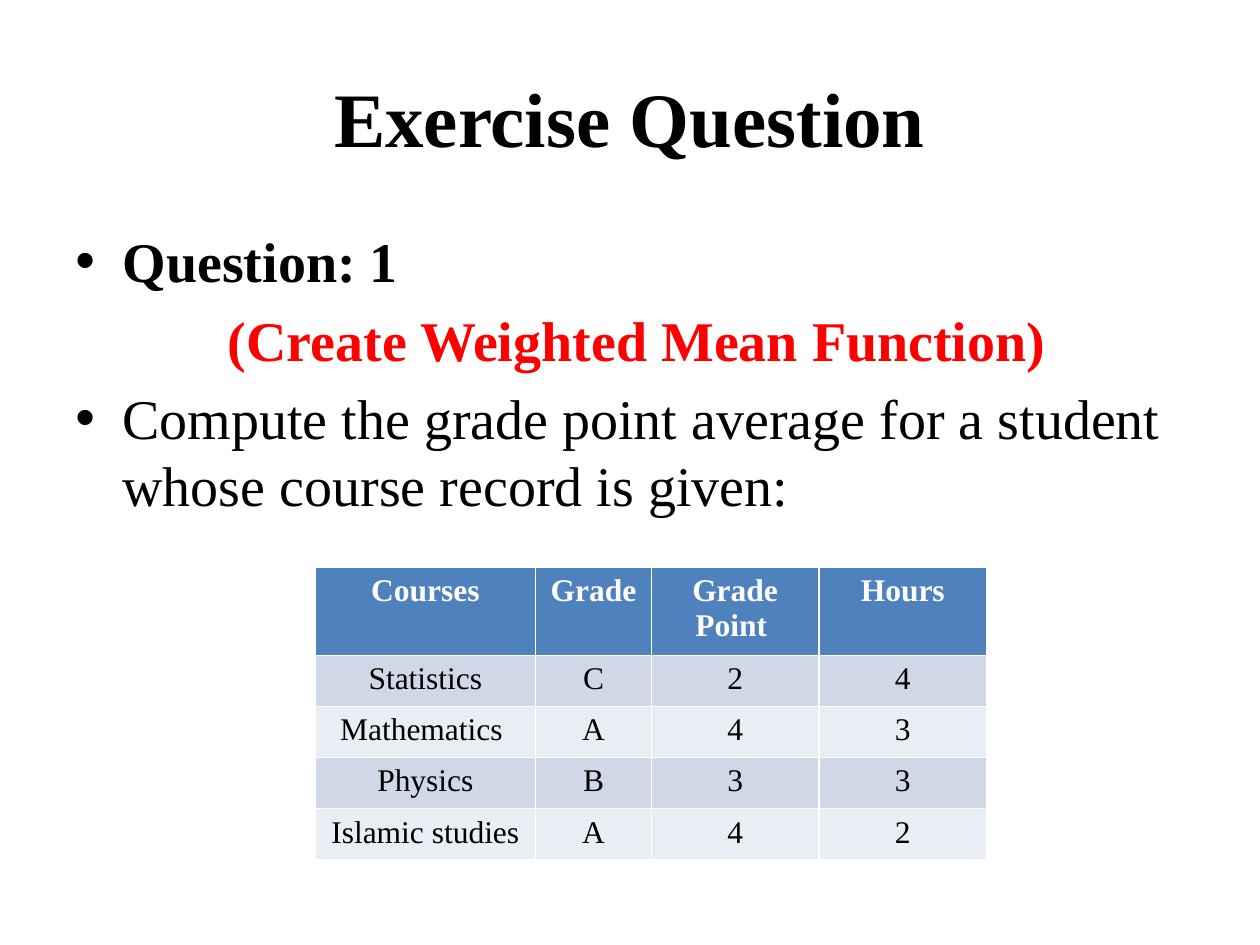
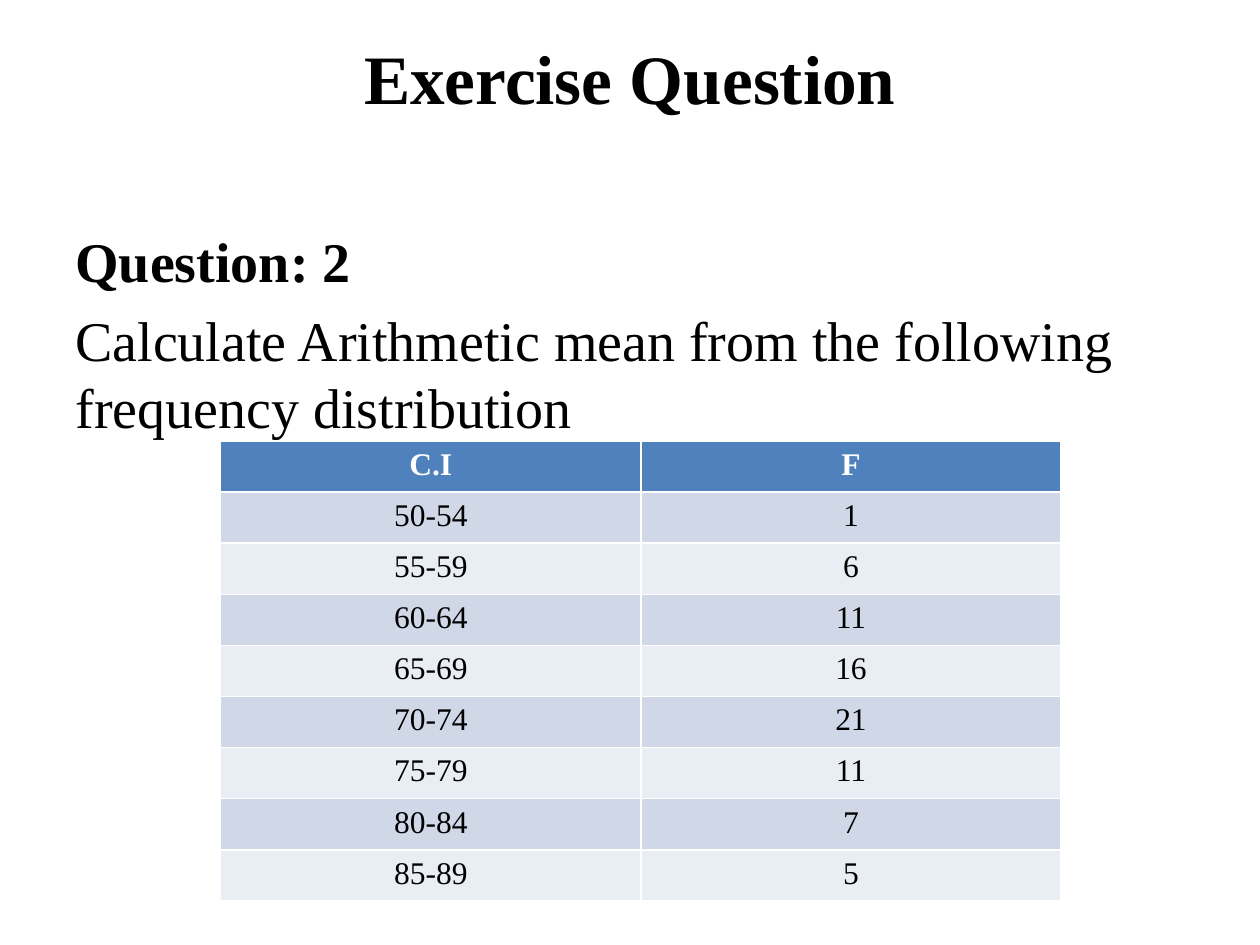
"""Build two exercise slides on weighted and arithmetic means."""
from dataclasses import dataclass

from lxml import etree
from pptx import Presentation
from pptx.dml.color import RGBColor
from pptx.enum.text import MSO_ANCHOR, MSO_AUTO_SIZE, PP_ALIGN
from pptx.oxml.ns import qn
from pptx.util import Cm, Pt

LEFT, CENTER = PP_ALIGN.LEFT, PP_ALIGN.CENTER
MIDDLE, TOP = MSO_ANCHOR.MIDDLE, MSO_ANCHOR.TOP
NO_FIT = MSO_AUTO_SIZE.NONE
TITLE_ONLY = 5


@dataclass(frozen=True)
class Theme:
    font: str = "Times New Roman"
    ink: str = "000000"
    accent: str = "FF0000"
    header_ink: str = "FFFFFF"
    header_fill: str = "4F81BD"
    bands: tuple = ("D0D8E8", "E9EDF4")
    body_size: float = 32
    table_size: float = 18
    paragraph_gap: float = 6.4
    bullet_indent: float = 0.95


THEME = Theme()
TITLE_BOX = (1.27, 0.76, 22.86, 3.18)
BODY_BOX = (1.27, 4.45, 22.86, 12.57)
ROW_HEIGHT = 1.03

EXERCISES = [
    {
        "title": "Exercise Question", "title_size": 44, "title_lift": 0.13,
        "body": [
            {"text": "Question: 1", "bold": True, "bullet": True},
            {"text": " (Create Weighted Mean Function)", "bold": True,
             "color": THEME.accent, "align": CENTER},
            {"text": "Compute the grade point average for a student "
                     "whose course record is given:", "bullet": True},
        ],
        "table_at": (6.35, 11.43), "header_height": 1.78,
        "columns": [4.45, 2.33, 3.38, 3.38],
        "records": [
            ("Courses", "Grade", "Grade Point ", "Hours"),
            ("Statistics", "C", "2", "4"),
            ("Mathematics ", "A", "4", "3"),
            ("Physics", "B", "3", "3"),
            ("Islamic studies", "A", "4", "2"),
        ],
    },
    {
        "title": "Exercise Question", "title_size": 39.6, "title_lift": 1.73,
        "body": [
            {"text": "Question: 2", "bold": True},
            {"text": "Calculate Arithmetic mean from the following "
                     "frequency distribution"},
        ],
        "table_at": (4.45, 8.89), "header_height": ROW_HEIGHT,
        "columns": [8.47, 8.47],
        "records": [
            ("C.I", "F"),
            ("50-54", "1"), ("55-59", "6"), ("60-64", "11"), ("65-69", "16"),
            ("70-74", "21"), ("75-79", "11"), ("80-84", "7"), ("85-89", "5"),
        ],
    },
]


def write(paragraph, text, size, color=THEME.ink, bold=False, align=LEFT):
    """Add one styled run to a paragraph and align it."""
    paragraph.alignment = align
    run = paragraph.add_run()
    run.text = text
    run.font.name = THEME.font
    run.font.size = Pt(size)
    run.font.bold = bold
    run.font.color.rgb = RGBColor.from_string(color)


def add_bullet(paragraph):
    """Give a paragraph a round bullet with a hanging indent."""
    properties = paragraph._p.get_or_add_pPr()
    indent = Cm(THEME.bullet_indent)
    properties.set("marL", str(indent))
    properties.set("indent", str(-indent))
    etree.SubElement(properties, qn("a:buFont")).set("typeface", "Arial")
    etree.SubElement(properties, qn("a:buChar")).set("char", "•")


def add_title(slide, exercise):
    """Place and style the title placeholder."""
    title = slide.shapes.title
    title.left, title.top, title.width, title.height = map(Cm, TITLE_BOX)
    frame = title.text_frame
    frame.auto_size = NO_FIT
    frame.vertical_anchor = MIDDLE
    frame.margin_bottom = Cm(exercise["title_lift"])
    write(frame.paragraphs[0], exercise["title"], exercise["title_size"],
          bold=True, align=CENTER)


def add_body(slide, statements):
    """Write the question text."""
    frame = slide.shapes.add_textbox(*map(Cm, BODY_BOX)).text_frame
    frame.word_wrap = True
    frame.vertical_anchor = TOP
    for index, statement in enumerate(statements):
        paragraph = frame.add_paragraph() if index else frame.paragraphs[0]
        paragraph.space_before = Pt(THEME.paragraph_gap)
        if statement.get("bullet"):
            add_bullet(paragraph)
        write(paragraph, statement["text"], THEME.body_size,
              statement.get("color", THEME.ink),
              statement.get("bold", False), statement.get("align", LEFT))


def add_records(slide, exercise):
    """Draw the data table with a header and alternating bands."""
    records, columns = exercise["records"], exercise["columns"]
    heights = [exercise["header_height"]] + [ROW_HEIGHT] * (len(records) - 1)
    table = slide.shapes.add_table(
        len(records), len(columns), *map(Cm, exercise["table_at"]),
        Cm(sum(columns)), Cm(sum(heights))).table
    for column, width in zip(table.columns, columns):
        column.width = Cm(width)
    for index, (row, record) in enumerate(zip(table.rows, records)):
        row.height = Cm(heights[index])
        header = index == 0
        fill = THEME.header_fill if header else THEME.bands[(index - 1) % 2]
        ink = THEME.header_ink if header else THEME.ink
        for cell, value in zip(row.cells, record):
            cell.fill.solid()
            cell.fill.fore_color.rgb = RGBColor.from_string(fill)
            write(cell.text_frame.paragraphs[0], value, THEME.table_size,
                  ink, header, CENTER)


def main():
    """Build and save the presentation."""
    deck = Presentation()
    deck.slide_width, deck.slide_height = Cm(25.4), Cm(19.05)
    for exercise in EXERCISES:
        slide = deck.slides.add_slide(deck.slide_layouts[TITLE_ONLY])
        add_title(slide, exercise)
        add_body(slide, exercise["body"])
        add_records(slide, exercise)
    deck.save("out.pptx")


if __name__ == "__main__":
    main()
